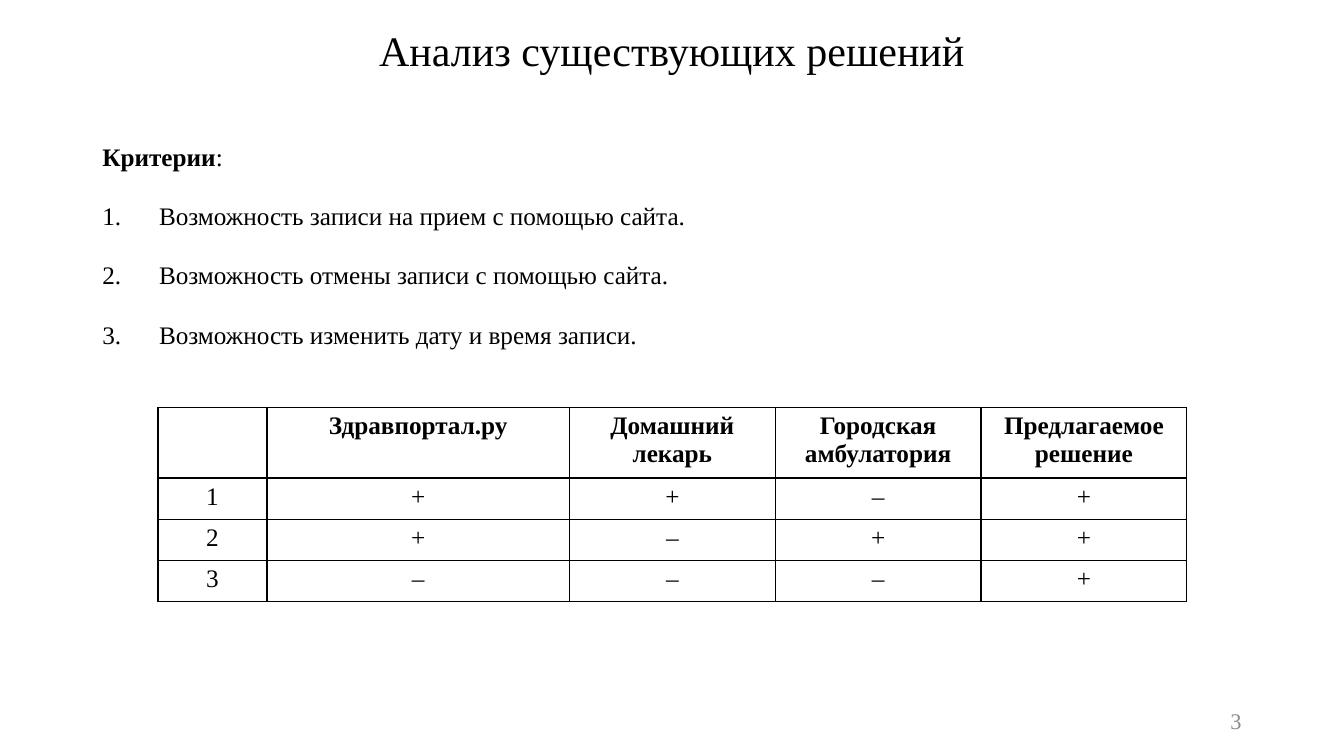
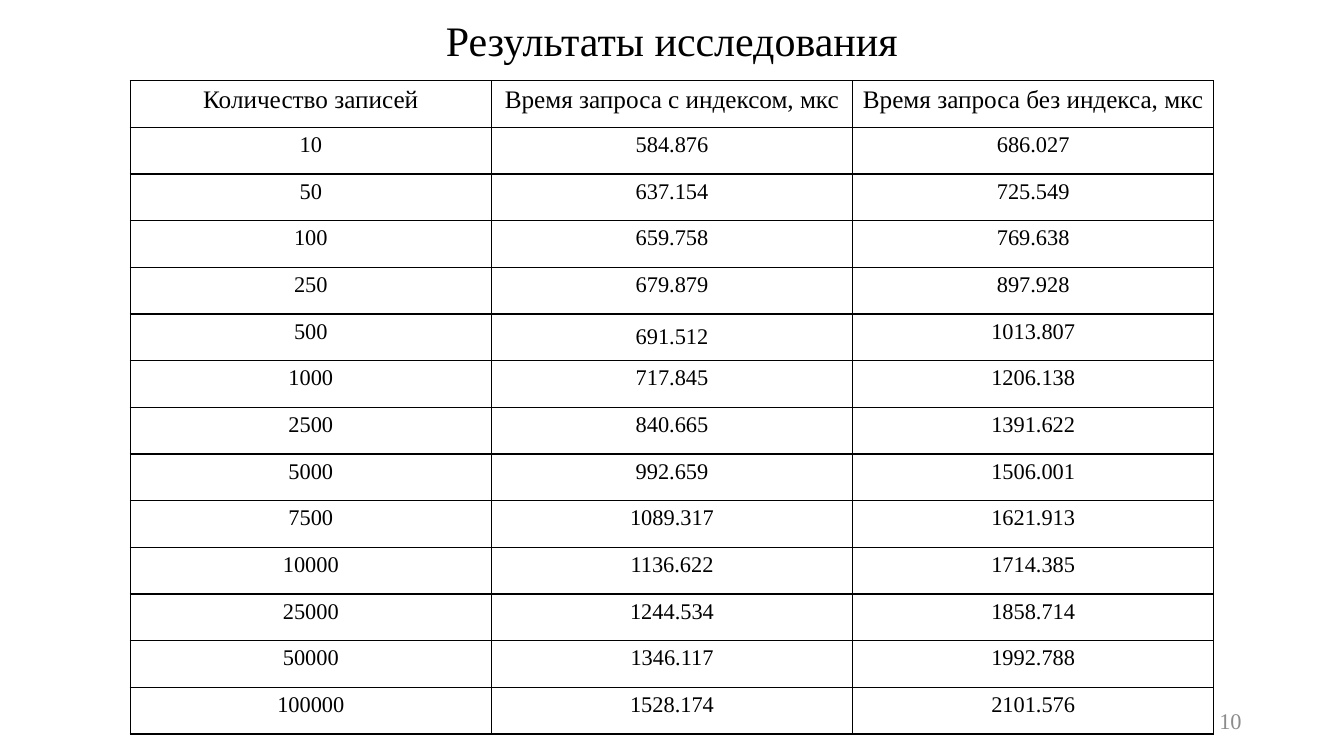
import dataclasses

import pptx
import pptx.dml.color
import pptx.enum.text
import pptx.oxml
import pptx.oxml.ns
import pptx.util

COLS, ROWS = 160, 90  # square grid over the slide
ALIGN = pptx.enum.text.PP_ALIGN
ANCHOR = pptx.enum.text.MSO_ANCHOR


@dataclasses.dataclass(frozen=True)
class Theme:
    font: str = "Times New Roman"
    ink: str = "000000"
    gray: str = "8C8C8C"
    paper: str = "FFFFFF"
    head: int = 30
    text: int = 18
    small: int = 16
    rule: int = 1


class Deck:
    """Holds the style and the current slide."""

    def __init__(self, theme):
        self.theme = theme
        self.file = pptx.Presentation()
        self.file.slide_width = pptx.util.Inches(13.33)
        self.file.slide_height = pptx.util.Inches(7.5)
        self.slide = None

    def x(self, cols):
        return int(self.file.slide_width * cols / COLS)

    def y(self, rows):
        return int(self.file.slide_height * rows / ROWS)

    def box(self, left, top, width, height):
        return self.x(left), self.y(top), self.x(width), self.y(height)

    def style(self, para, size, align, color=None, bold=False):
        para.alignment = align
        for run in para.runs:
            font = run.font
            font.name, font.size, font.bold = self.theme.font, pptx.util.Pt(size), bold
            font.color.rgb = pptx.dml.color.RGBColor.from_string(color or self.theme.ink)

    def frame(self, left, top, width, height):
        frame = self.slide.shapes.add_textbox(*self.box(left, top, width, height)).text_frame
        frame.word_wrap = True
        return frame

    def page(self, title, top, height):
        """Start a slide with its title."""
        self.slide = self.file.slides.add_slide(self.file.slide_layouts[5])
        fill = self.slide.background.fill
        fill.solid()
        fill.fore_color.rgb = pptx.dml.color.RGBColor.from_string(self.theme.paper)
        shape = self.slide.shapes.title
        shape.left, shape.top, shape.width, shape.height = self.box(11, top, 138, height)
        frame = shape.text_frame
        frame.text = title
        frame.auto_size = pptx.enum.text.MSO_AUTO_SIZE.NONE
        frame.vertical_anchor = ANCHOR.MIDDLE
        para = frame.paragraphs[0]
        para.line_spacing = 0.9
        self.style(para, self.theme.head, ALIGN.CENTER)

    def number(self, text):
        """Page number at the lower right."""
        frame = self.frame(113, 83.4, 36, 4.8)
        frame.text = text
        frame.vertical_anchor = ANCHOR.MIDDLE
        self.style(frame.paragraphs[0], self.theme.small, ALIGN.RIGHT, self.theme.gray)

    def steps(self, lead, items, box):
        """Bold lead word with a colon, then a numbered list."""
        frame = self.frame(*box)
        frame.text = "\n".join([lead, *items])
        for index, para in enumerate(frame.paragraphs):
            para.line_spacing, para.space_before = 1.5, pptx.util.Pt(10)
            if index == 0:
                para.add_run().text = ":"
            self.style(para, self.theme.text, ALIGN.JUSTIFY)
            if index:
                props = para._p.get_or_add_pPr()
                indent = self.x(6.75)
                props.set("marL", str(indent))
                props.set("indent", str(-indent))
                mark = pptx.oxml.parse_xml(
                    f'<a:buAutoNum {pptx.oxml.ns.nsdecls("a")} type="arabicPeriod"/>')
                props.append(mark)
        frame.paragraphs[0].runs[0].font.bold = True

    def border(self, cell):
        props = cell._tc.get_or_add_tcPr()
        width = pptx.util.Pt(self.theme.rule)
        for index, side in enumerate("LRTB"):
            line = pptx.oxml.parse_xml(
                f'<a:ln{side} {pptx.oxml.ns.nsdecls("a")} w="{width}"><a:solidFill>'
                f'<a:srgbClr val="{self.theme.ink}"/></a:solidFill></a:ln{side}>')
            props.insert(index, line)

    def table(self, rows, left, top, widths, heights, size, bold=False):
        """Ruled table; widths and heights count grid units."""
        box = self.box(left, top, sum(widths), sum(heights))
        table = self.slide.shapes.add_table(len(rows), len(widths), *box).table
        table.first_row = table.horz_banding = False
        for col, width in zip(table.columns, widths):
            col.width = self.x(width)
        for r, row in enumerate(rows):
            table.rows[r].height = self.y(heights[r])
            for c, text in enumerate(row):
                cell = table.cell(r, c)
                cell.text_frame.text = text
                cell.fill.background()
                self.border(cell)
                for para in cell.text_frame.paragraphs:
                    self.style(para, size if r else self.theme.text, ALIGN.CENTER,
                               bold=bold and r == 0)
        return table


CHOICES = [
    ["", "Здравпортал.ру", "Домашний\nлекарь", "Городская\nамбулатория", "Предлагаемое\nрешение"],
    ["1", "+", "+", "–", "+"],
    ["2", "+", "–", "+", "+"],
    ["3", "–", "–", "–", "+"],
]

TIMES = [
    ["Количество записей", "Время запроса с индексом, мкс", "Время запроса без индекса, мкс"],
    ["10", "584.876", "686.027"],
    ["50", "637.154", "725.549"],
    ["100", "659.758", "769.638"],
    ["250", "679.879", "897.928"],
    ["500", "691.512", "1013.807"],
    ["1000", "717.845", "1206.138"],
    ["2500", "840.665", "1391.622"],
    ["5000", "992.659", "1506.001"],
    ["7500", "1089.317", "1621.913"],
    ["10000", "1136.622", "1714.385"],
    ["25000", "1244.534", "1858.714"],
    ["50000", "1346.117", "1992.788"],
    ["100000", "1528.174", "2101.576"],
]


def main():
    theme = Theme()
    deck = Deck(theme)

    # Criteria and comparison
    deck.page("Анализ существующих решений", 1.8, 8.9)
    deck.steps("Критерии", [
        "Возможность записи на прием с помощью сайта.",
        "Возможность отмены записи с помощью сайта.",
        "Возможность изменить дату и время записи.",
    ], (11, 14.4, 138, 57.1))
    deck.table(CHOICES, 18.8, 48.5, [13, 36] + [24.5] * 3, [7.9] + [4.9] * 3,
               theme.text, bold=True)
    deck.number("3")

    # Measured query times
    deck.page("Результаты исследования", 0, 10.3)
    deck.number("10")
    table = deck.table(TIMES, 15.5, 9.6, [43] * 3, [5.56] * len(TIMES), theme.small)
    cell = table.cell(5, 1)
    cell.vertical_anchor = ANCHOR.MIDDLE
    cell.margin_left = cell.margin_right = deck.x(0.6)
    cell.margin_top = cell.margin_bottom = deck.y(0.6)

    deck.file.save("out.pptx")


if __name__ == "__main__":
    main()
